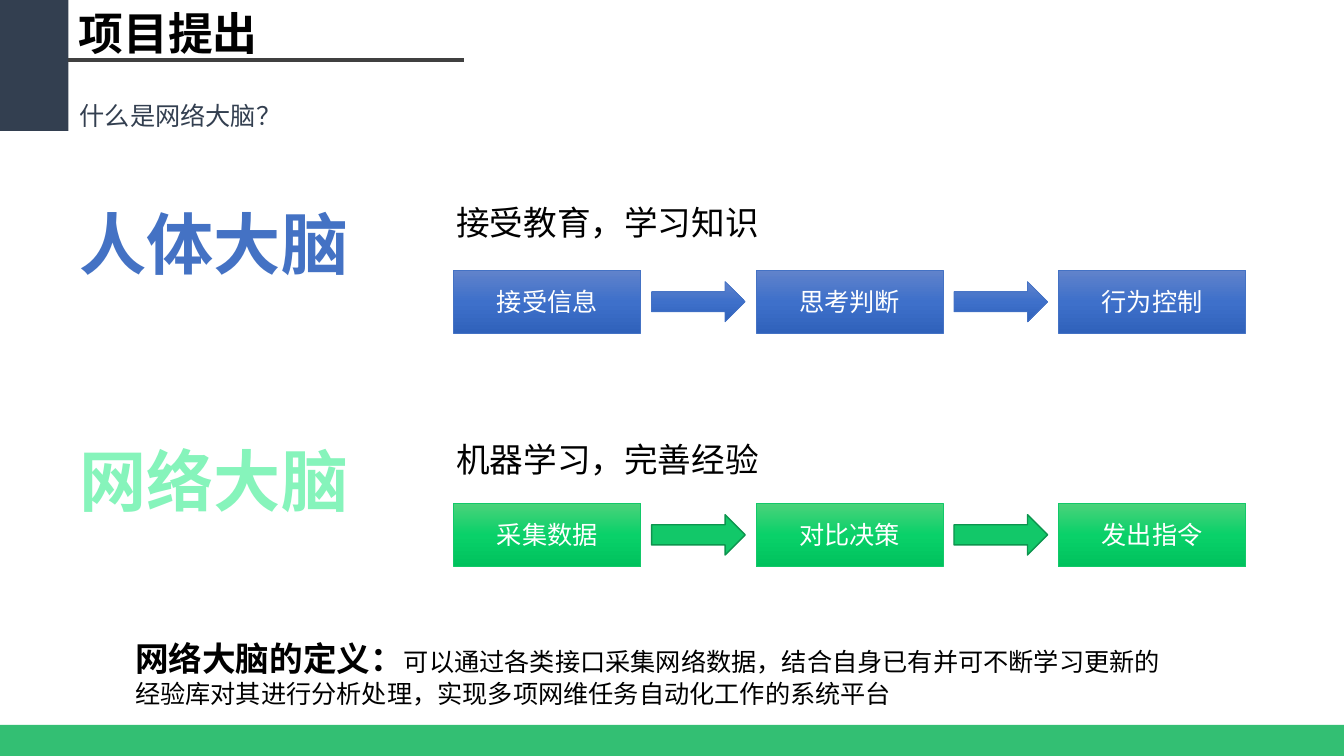
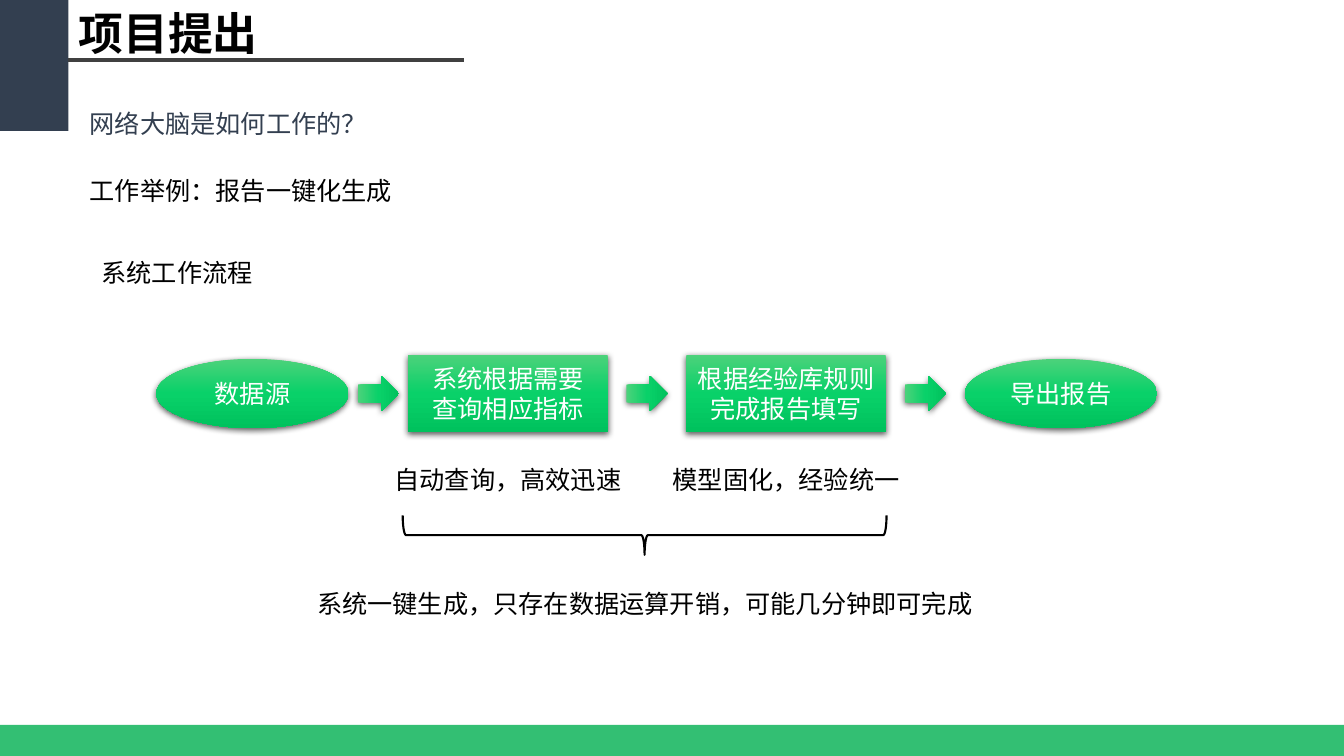
from copy import deepcopy
from dataclasses import dataclass

from lxml import etree
from pptx import Presentation
from pptx.dml.color import RGBColor
from pptx.enum.shapes import MSO_CONNECTOR, MSO_SHAPE
from pptx.enum.text import MSO_ANCHOR, MSO_AUTO_SIZE, PP_ALIGN
from pptx.oxml.ns import qn
from pptx.util import Inches, Pt

RECT, OVAL = MSO_SHAPE.RECTANGLE, MSO_SHAPE.OVAL
RIGHT_ARROW, DOWN_ARROW = MSO_SHAPE.RIGHT_ARROW, MSO_SHAPE.DOWN_ARROW
LEFT_BRACE = MSO_SHAPE.LEFT_BRACE
STRAIGHT = MSO_CONNECTOR.STRAIGHT
LEFT, CENTER = PP_ALIGN.LEFT, PP_ALIGN.CENTER
TOP, MIDDLE = MSO_ANCHOR.TOP, MSO_ANCHOR.MIDDLE

BLACK = RGBColor(0x00, 0x00, 0x00)
WHITE = RGBColor(0xFF, 0xFF, 0xFF)
SLATE = RGBColor(0x33, 0x3F, 0x50)
RULE_GREY = RGBColor(0x40, 0x40, 0x40)
FOOTER_GREEN = RGBColor(0x00, 0xB0, 0x50)
BLUE = RGBColor(0x44, 0x72, 0xC4)
GREEN = RGBColor(0x12, 0xC8, 0x69)
DARK_GREEN = RGBColor(0x0D, 0x94, 0x4E)
MINT = RGBColor(0x86, 0xF4, 0xBB)
BLUE_BLEND = (RGBColor(0x61, 0x83, 0xCB), RGBColor(0x3E, 0x70, 0xCA), RGBColor(0x30, 0x62, 0xBB))
GREEN_BLEND = (RGBColor(0x4C, 0xD2, 0x7B), RGBColor(0x09, 0xD1, 0x69), RGBColor(0x00, 0xC2, 0x5D))

BODY_FONT = "Calibri"
TITLE_FONT = "Noto Sans CJK SC"

# Square grid cells: 32 columns by 18 rows
COLUMNS, ROWS = 32, 18
CELL = Inches(7.5) // ROWS
SIDE_WIDTH = 1.63
TEXT_ROW = 0.96
TITLE_ONLY = 5


@dataclass(frozen=True)
class Area:
    """A rectangle in grid cells."""
    left: float
    top: float
    width: float
    height: float

    @property
    def center(self) -> float:
        return self.left + self.width / 2

    @property
    def right(self) -> float:
        return self.left + self.width

    def emu(self) -> tuple:
        return tuple(round(n * CELL) for n in (self.left, self.top, self.width, self.height))


def centered(x: float, y: float, width: float, height: float) -> Area:
    return Area(x - width / 2, y - height / 2, width, height)


@dataclass(frozen=True)
class BrainRow:
    name: str
    name_color: RGBColor
    caption: str
    steps: tuple
    top: float
    box_top: float
    blend: tuple
    line: RGBColor
    arrow_fill: object
    arrow_line: RGBColor
    arrow_weight: float


@dataclass(frozen=True)
class Stage:
    kind: object
    left: float
    width: float
    height: float
    lines: tuple
    note: str = ""


BRAIN_ROWS = (
    BrainRow("人体大脑", BLUE, "接受教育，学习知识", ("接受信息", "思考判断", "行为控制"),
             4.7, 6.43, BLUE_BLEND, BLUE, BLUE_BLEND, BLUE, 0.5),
    BrainRow("网络大脑", MINT, "机器学习，完善经验", ("采集数据", "对比决策", "发出指令"),
             10.34, 11.98, GREEN_BLEND, GREEN, GREEN, DARK_GREEN, 1),
)
STAGES = (
    Stage(OVAL, 3.72, 4.58, 1.65, ("数据源",)),
    Stage(RECT, 9.72, 4.75, 1.85, ("系统根据需要", "查询相应指标"), "自动查询，高效迅速"),
    Stage(RECT, 16.34, 4.75, 1.85, ("根据经验库规则", "完成报告填写"), "模型固化，经验统一"),
    Stage(OVAL, 22.97, 4.58, 1.65, ("导出报告",)),
)


def style_font(font, size: float, color: RGBColor, bold: bool = False,
               name: str = BODY_FONT) -> None:
    font.size, font.bold, font.name = Pt(size), bold, name
    font.color.rgb = color
    east_asian = etree.SubElement(font._element, qn("a:ea"))
    east_asian.set("typeface", BODY_FONT)


def write(frame, lines: tuple, size: float, color: RGBColor, align=LEFT, anchor=TOP,
          wrap: bool = True, bold: bool = False, name: str = BODY_FONT) -> None:
    frame.word_wrap = wrap
    frame.vertical_anchor = anchor
    for index, line in enumerate(lines):
        para = frame.add_paragraph() if index else frame.paragraphs[0]
        para.text = line
        para.alignment = align
        style_font(para.font, size, color, bold, name)


def add_text(page, area: Area, text: str, size: float = 18, color: RGBColor = BLACK,
             align=LEFT, wrap: bool = False, bold: bool = False) -> None:
    box = page.shapes.add_textbox(*area.emu())
    write(box.text_frame, (text,), size, color, align, wrap=wrap, bold=bold)


def fill_blend(shape, colors: tuple) -> None:
    """Fill from top to bottom with evenly spaced colours."""
    shape.fill.gradient()
    shape.fill.gradient_angle = 270
    stop_list = shape._element.spPr.find(qn("a:gradFill")).find(qn("a:gsLst"))
    while len(stop_list) < len(colors):
        stop_list.append(deepcopy(stop_list[0]))
    for index, (stop, color) in enumerate(zip(shape.fill.gradient_stops, colors)):
        stop.color.rgb = color
        stop.position = index / (len(colors) - 1)


def add_shape(page, kind, area: Area, fill=None, line=None, weight: float = 0.5):
    """Draw a shape; fill is a colour, a tuple of blended colours or None."""
    shape = page.shapes.add_shape(kind, *area.emu())
    shape.shadow.inherit = False
    if fill is None:
        shape.fill.background()
    elif isinstance(fill, RGBColor):
        shape.fill.solid()
        shape.fill.fore_color.rgb = fill
    else:
        fill_blend(shape, fill)
    if line is None:
        shape.line.fill.background()
    else:
        shape.line.color.rgb = line
        shape.line.width = Pt(weight)
    return shape


def cast_shadow(shape) -> None:
    effects = shape._element.spPr.find(qn("a:effectLst"))
    shadow = etree.SubElement(effects, qn("a:outerShdw"), blurRad=str(Pt(4.5)),
                              dist=str(Pt(1.5)), dir="5400000", algn="ctr", rotWithShape="0")
    color = etree.SubElement(shadow, qn("a:srgbClr"), val=str(BLACK))
    etree.SubElement(color, qn("a:alpha"), val="63000")


def add_page(deck, title: str):
    """Add a slide with the shared title, side block, rule and footer band."""
    page = deck.slides.add_slide(deck.slide_layouts[TITLE_ONLY])
    add_shape(page, RECT, Area(0, 0, SIDE_WIDTH, 3.12), SLATE)
    rule_y = round(1.42 * CELL)
    rule = page.shapes.add_connector(STRAIGHT, round(SIDE_WIDTH * CELL), rule_y,
                                     round(11.04 * CELL), rule_y)
    rule.line.color.rgb = RULE_GREY
    rule.line.width = Pt(3)
    etree.SubElement(rule._element.spPr, qn("a:effectLst"))

    footer = add_shape(page, RECT, Area(0, 17.26, COLUMNS, 0.74), FOOTER_GREEN)
    footer_color = footer._element.spPr.find(qn("a:solidFill"))[0]
    etree.SubElement(footer_color, qn("a:alpha"), val="80000")

    heading = page.shapes.title
    heading.left, heading.top, heading.width, heading.height = Area(
        SIDE_WIDTH, 0.02, 4.82, 1.54).emu()
    heading.text_frame.auto_size = MSO_AUTO_SIZE.NONE
    write(heading.text_frame, (title,), 32, BLACK, bold=True, name=TITLE_FONT)
    return page


def draw_brain_row(page, row: BrainRow) -> None:
    first, pitch, width, height = 10.8, 7.2, 4.46, 1.51
    add_text(page, Area(1.66, row.top, 6.89, 2.18), row.name, 48, row.name_color, bold=True)
    add_text(page, Area(10.63, row.top, 7.68, 1.2), row.caption, 24)
    for index, step in enumerate(row.steps):
        area = Area(first + index * pitch, row.box_top, width, height)
        if index:
            arrow = centered(area.left - (pitch - width) / 2, row.box_top + height / 2, 2.23, 0.96)
            add_shape(page, RIGHT_ARROW, arrow, row.arrow_fill, row.arrow_line, row.arrow_weight)
        box = add_shape(page, RECT, area, row.blend, row.line)
        write(box.text_frame, (step,), 18, WHITE, CENTER, MIDDLE)


def draw_definition(page) -> None:
    box = page.shapes.add_textbox(*Area(2.98, 15.07, 25.08, 1.94).emu())
    box.text_frame.word_wrap = True
    para = box.text_frame.paragraphs[0]
    for text, size, bold in (
        ("网络大脑的定义：", 24, True),
        ("可以通过各类接口采集网络数据，结合自身已有并可不断学习更新的"
         "经验库对其进行分析处理，实现多项网维任务自动化工作的系统平台", 18, False),
    ):
        span = para.add_run()
        span.text = text
        style_font(span.font, size, BLACK, bold)


def draw_stages(page, stages: tuple) -> None:
    middle = 9.37
    previous_right = None
    for stage in stages:
        area = Area(stage.left, middle - stage.height / 2, stage.width, stage.height)
        if previous_right is not None:
            spot = centered((previous_right + area.left) / 2, middle, 0.84, 0.98)
            arrow = add_shape(page, DOWN_ARROW, spot, GREEN_BLEND)
            arrow.rotation = 270
            cast_shadow(arrow)
        shape = add_shape(page, stage.kind, area, GREEN_BLEND)
        cast_shadow(shape)
        write(shape.text_frame, stage.lines, 18, WHITE, CENTER, MIDDLE)
        if stage.note:
            add_text(page, centered(area.center, 11.42, 5.88, TEXT_ROW), stage.note, align=CENTER)
        previous_right = area.right


def build_definition_page(deck) -> None:
    page = add_page(deck, "项目提出")
    add_text(page, Area(1.66, 2.28, 10.34, TEXT_ROW), "什么是网络大脑？", color=SLATE, wrap=True)
    for row in BRAIN_ROWS:
        draw_brain_row(page, row)
    draw_definition(page)


def build_workflow_page(deck) -> None:
    page = add_page(deck, "项目提出")
    add_text(page, Area(1.9, 2.47, 10.34, TEXT_ROW), "网络大脑是如何工作的？",
             color=SLATE, wrap=True)
    add_text(page, Area(1.9, 4.06, 7.68, TEXT_ROW), "工作举例：报告一键化生成")
    add_text(page, Area(2.18, 6.02, 4.08, TEXT_ROW), "系统工作流程")
    draw_stages(page, STAGES)
    brace_x = 15.35
    brace = add_shape(page, LEFT_BRACE, centered(brace_x, 12.74, 0.94, 11.52),
                      line=BLACK, weight=1.5)
    brace.rotation = 270
    add_text(page, centered(brace_x, 14.38, 16.08, TEXT_ROW),
             "系统一键生成，只存在数据运算开销，可能几分钟即可完成", align=CENTER)


def main() -> None:
    deck = Presentation()
    deck.slide_width, deck.slide_height = COLUMNS * CELL, ROWS * CELL
    build_definition_page(deck)
    build_workflow_page(deck)
    deck.save("out.pptx")


if __name__ == "__main__":
    main()
